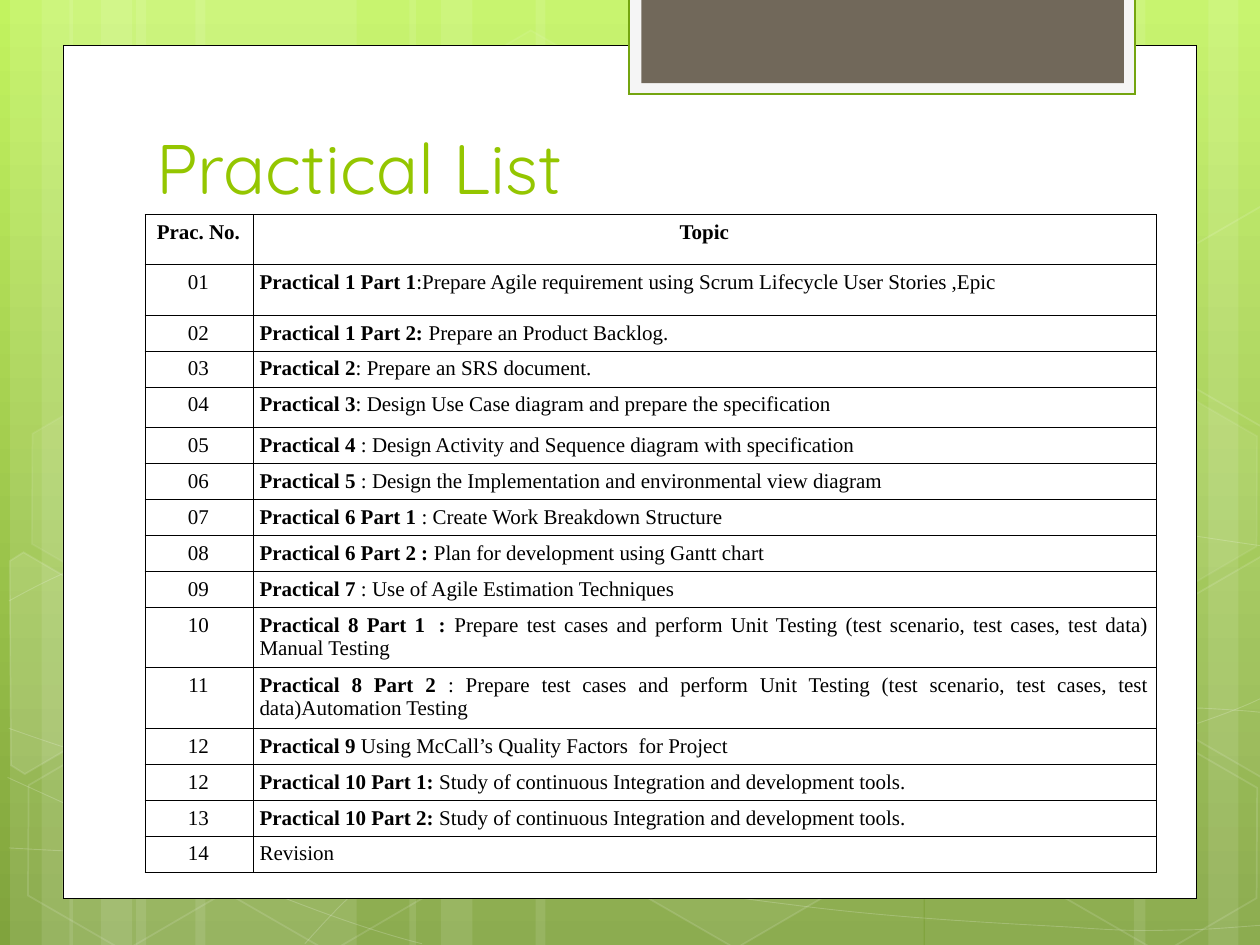
import math
import pptx
import pptx.util
import pptx.dml.color
import pptx.enum.shapes
import pptx.enum.text
import pptx.oxml
import pptx.oxml.ns
import lxml.etree

Inches = pptx.util.Inches
Pt = pptx.util.Pt
Kind = pptx.enum.shapes.MSO_SHAPE
Align = pptx.enum.text.PP_ALIGN
Anchor = pptx.enum.text.MSO_ANCHOR
qn = pptx.oxml.ns.qn


class Theme:
    white = "FFFFFF"
    black = "000000"
    top = "C2F35F"
    base = "80A33D"
    frame = "F5F5F5"
    edge = "74A510"
    tab = "71685A"
    title = "94C600"
    head = "Quicksand"
    body = "Times New Roman"
    large = Pt(40)
    small = Pt(12)


def tint(fill, hue, alpha=100):
    fill.solid()
    fill.fore_color.rgb = pptx.dml.color.RGBColor.from_string(hue)
    if alpha < 100:
        color = fill._xPr.find(qn("a:solidFill"))[0]
        lxml.etree.SubElement(color, qn("a:alpha"), val=str(alpha * 1000))


def style(shape, hue, alpha, edge, width, glow=100):
    shape.shadow.inherit = False
    if hue and alpha:
        tint(shape.fill, hue, alpha)
    else:
        shape.fill.background()
    if edge:
        tint(shape.line.fill, edge, glow)
        shape.line.width = Pt(width)
        lxml.etree.SubElement(shape.line._get_or_add_ln(), qn("a:miter"), lim="800000")
    else:
        shape.line.fill.background()


deck = pptx.Presentation()
deck.slide_width, deck.slide_height = Inches(10), Inches(7.5)
slide = deck.slides.add_slide(deck.slide_layouts[6])
shapes = slide.shapes

back = slide.background.fill
back.gradient()
back.gradient_angle = 270
for stop, hue in zip(back.gradient_stops, (Theme.top, Theme.base)):
    stop.color.rgb = pptx.dml.color.RGBColor.from_string(hue)

stripes = [
    (1.08, 1.75), (0.08, 0.5), (0.33, 0.83), (1.55, 1.75), (0.55, 0.5), (0.8, 0.83),
    (7.34, 1.75), (9.59, 0.5), (9, 0.83), (4.25, 3.08), (3.25, 0.5), (3.5, 0.83),
]
for left, width in stripes:
    stripe = shapes.add_shape(Kind.RECTANGLE, Inches(left), 0, Inches(width), Inches(7.5))
    style(stripe, Theme.white, 10, None, 0)

curves = [
    [(0.07, 6.73), (0.61, 6.76), (1.15, 6.79), (1.9, 6.78), (2.65, 6.77), (3.58, 6.75),
     (4.58, 6.65), (5.58, 6.55), (7, 6.36), (7.92, 6.17), (8.83, 5.98), (9.77, 5.68), (10.07, 5.51)],
    [(0.07, 4.77), (0.36, 4.61), (0.65, 4.46), (1.21, 4.31), (1.78, 4.16), (2.59, 3.94),
     (3.47, 3.87), (4.36, 3.8), (5.44, 3.79), (6.54, 3.87), (7.64, 3.95), (9.47, 4.26), (10.07, 4.34)],
    [(0.06, 6.17), (1.27, 6.72), (2.47, 7.27), (3.35, 7.49)],
    [(0.07, 5.78), (0.38, 5.89), (0.7, 6), (1.28, 6.16), (1.86, 6.31), (2.73, 6.56), (3.57, 6.73),
     (4.4, 6.9), (5.45, 7.08), (6.28, 7.18), (7.11, 7.29), (8, 7.33), (8.53, 7.36),
     (9.06, 7.4), (9.19, 7.38), (9.45, 7.38), (9.71, 7.37), (9.89, 7.35), (10.07, 7.34)],
    [(2.42, 7.49), (2.6, 7.29), (2.78, 7.09), (3.02, 6.91), (3.26, 6.72), (3.6, 6.53), (3.88, 6.39),
     (4.16, 6.25), (4.33, 6.19), (4.69, 6.09), (5.06, 5.99), (5.73, 5.85), (6.08, 5.78),
     (6.44, 5.71), (6.49, 5.71), (6.8, 5.69), (7.11, 5.66), (7.6, 5.63), (7.94, 5.62),
     (8.29, 5.61), (8.86, 5.62), (8.86, 5.62), (9.08, 5.62), (9.31, 5.62), (9.53, 5.62),
     (9.71, 5.63), (9.88, 5.64), (9.97, 5.65), (10.06, 5.66), (10.03, 5.65), (10.06, 5.66)],
]
for knots in curves:
    points = [(Inches(x), Inches(y)) for x, y in knots]
    pen = shapes.build_freeform(*points[0])
    pen.add_line_segments(points[1:], close=False)
    curve = pen.convert_to_shape()
    trace = next(curve._element.iter(qn("a:path")))
    lines = trace.findall(qn("a:lnTo"))
    for first in range(0, len(lines), 3):
        bend = lxml.etree.SubElement(trace, qn("a:cubicBezTo"))
        for part in lines[first:first + 3]:
            bend.append(part[0])
            trace.remove(part)
    style(curve, None, 0, Theme.white, 0.5, 20)

cells = [
    (3.34, 0.36, 4, 8), (4.96, 5.89, 6, 12), (0.11, 5.91, 0, 12), (0.14, 3.12, 7, 8),
    (1.74, 5.92, 0, 12), (7.53, 4.53, 10, 12), (8.34, 5.93, 0, 12), (8.34, 3.14, 7, 8),
]
for left, top, alpha, glow in cells:
    cell = shapes.add_shape(Kind.HEXAGON, Inches(left), Inches(top), Inches(1.75), Inches(1.52))
    cell.adjustments[0] = 0.285
    cell.rotation = 30
    style(cell, Theme.white, alpha, Theme.white, 1, glow)

shards = [
    (10, 0.36, 5.36, [(0.08, 4.45), (0.19, 4.38), (0.96, 4.83), (0.95, 5.7), (0.2, 6.14), (0.09, 6.07)]),
    (4, 9.85, 5.2, [(9.26, 4.85), (10.02, 4.41), (10.09, 4.46), (10.09, 6.13), (10.02, 6.17), (9.26, 5.73)]),
    (0, 9.85, 2.41, [(9.26, 2.07), (10.02, 1.63), (10.1, 1.68), (10.09, 3.35), (10.02, 3.39), (9.26, 2.95)]),
]
cos, sin = math.cos(math.radians(30)), math.sin(math.radians(30))
for alpha, mid, high, knots in shards:
    points = [(Inches(mid + (x - mid) * cos + (y - high) * sin),
               Inches(high + (y - high) * cos - (x - mid) * sin)) for x, y in knots]
    pen = shapes.build_freeform(*points[0])
    pen.add_line_segments(points[1:], close=True)
    shard = pen.convert_to_shape()
    shard.rotation = 30
    style(shard, Theme.white, alpha, Theme.white, 1, 12)

panels = [
    (0.5, 0.36, 9, 6.77, Theme.white, Theme.black, 0.5),
    (4.99, -0.02, 4.02, 0.77, Theme.frame, Theme.edge, 1.25),
    (5.09, -0.02, 3.83, 0.68, Theme.tab, None, 0),
]
for *box, hue, edge, width in panels:
    panel = shapes.add_shape(Kind.RECTANGLE, *map(Inches, box))
    style(panel, hue, 100, edge, width)

title = shapes.add_textbox(Inches(1.14), Inches(1.12), Inches(7.68), Inches(0.58)).text_frame
title.word_wrap = True
title.vertical_anchor = Anchor.BOTTOM
line = title.paragraphs[0]
line.text = "Practical List"
line.font.name, line.font.size = Theme.head, Theme.large
tint(line.font.fill, Theme.title)

tall, wide, mid = 0.4, 0.47, 0.32
slim = (5.2 - 2 * tall - 2 * wide - mid) / 11
rows = [
    (tall, "Prac. No.", "Topic"),
    (tall, "|01", "Practical 1 Part 1|:Prepare Agile requirement using Scrum Lifecycle User Stories ,Epic"),
    (slim, "|02", "Practical 1 Part 2:| Prepare an Product Backlog."),
    (slim, "|03", "Practical 2|: Prepare an SRS document."),
    (mid, "|04", "Practical 3|: Design Use Case diagram and prepare the specification"),
    (slim, "|05", "Practical 4| : Design Activity and Sequence diagram with specification"),
    (slim, "|06", "Practical 5| : Design the Implementation and environmental view diagram"),
    (slim, "|07", "Practical 6 Part 1| : Create Work Breakdown Structure~"),
    (slim, "|08", "Practical 6 Part 2 :| Plan for development using Gantt chart"),
    (slim, "|09", "Practical 7| : Use of Agile Estimation Techniques"),
    (wide, "|10", "Practical 8 Part 1~ : |Prepare test cases and perform Unit Testing "
     "(test scenario, test cases, test data) Manual Testing"),
    (wide, "|11", "Practical 8 Part 2 |: Prepare test cases and perform Unit Testing "
     "(test scenario, test cases, test data)Automation Testing"),
    (slim, "|12", "Practical 9 |Using McCall’s Quality Factors~ for Project"),
    (slim, "|12", "Practi|c|al 10 Part 1: |Study of~continuous Integration and development tools."),
    (slim, "|13", "Practi|c|al 10 Part 2: |Study of~continuous Integration and development tools."),
    (slim, "|14", "|Revision"),
]
table = shapes.add_table(len(rows), 2, Inches(1.15), Inches(1.7), Inches(8.03), Inches(5.2)).table
table.first_row = table.horz_banding = False
table.columns[0].width, table.columns[1].width = Inches(0.86), Inches(7.17)
for row, (height, *texts) in enumerate(rows):
    table.rows[row].height = Inches(height)
    for col, text in enumerate(texts):
        cell = table.cell(row, col)
        cell.margin_left, cell.margin_right = Inches(0.05), Inches(0.06)
        cell.margin_top, cell.margin_bottom = Inches(0.05), Inches(0.03)
        cell.vertical_anchor = Anchor.TOP
        cell.fill.background()
        for spot, side in enumerate(("lnL", "lnR", "lnT", "lnB")):
            rule = lxml.etree.Element(qn("a:" + side), w=str(Pt(0.23)))
            ink = lxml.etree.SubElement(rule, qn("a:solidFill"))
            lxml.etree.SubElement(ink, qn("a:srgbClr"), val=Theme.black)
            cell._tc.get_or_add_tcPr().insert(spot, rule)
        line = cell.text_frame.paragraphs[0]
        line.alignment = Align.JUSTIFY if row and col else Align.CENTER
        line.font.name, line.font.size = Theme.body, Theme.small
        tint(line.font.fill, Theme.black)
        for part, words in enumerate(text.replace("~", chr(160)).split("|")):
            if words:
                run = line.add_run()
                run.text = words
                run.font.bold = part % 2 == 0

deck.save("out.pptx")
